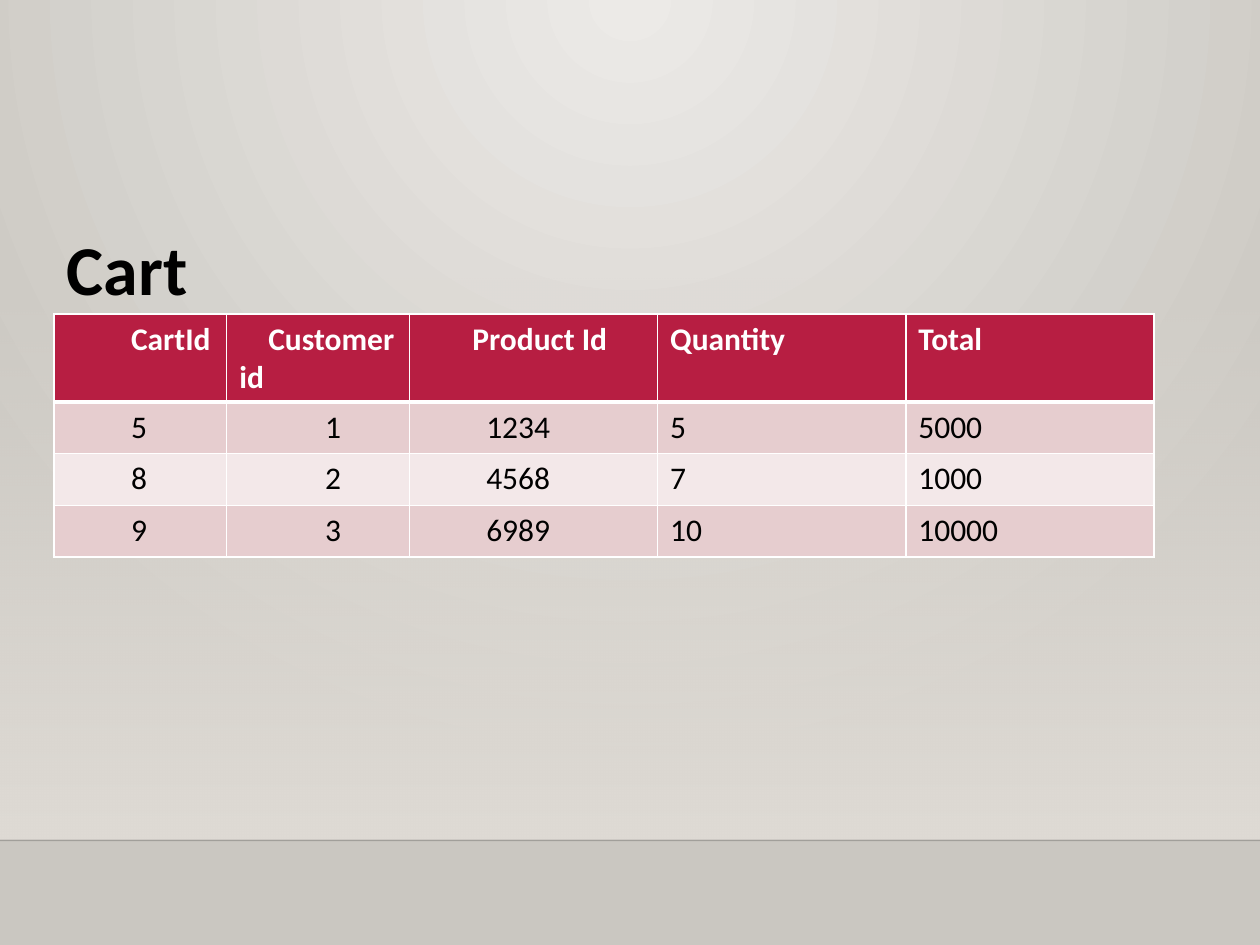
from lxml.etree import SubElement
from pptx import Presentation
from pptx.dml.color import RGBColor
from pptx.enum.shapes import MSO_CONNECTOR, MSO_SHAPE
from pptx.enum.text import MSO_ANCHOR, MSO_AUTO_SIZE, PP_ALIGN
from pptx.oxml.ns import qn
from pptx.util import Inches, Pt

TITLE = "Cart"
HEADER = ("CartId", "Customer id", "Product Id", "Quantity", "Total")
ROWS = [
    ("5", "1", "1234", "5", "5000"),
    ("8", "2", "4568", "7", "1000"),
    ("9", "3", "6989", "10", "10000"),
]
COLUMN_WIDTHS = (1.37, 1.45, 1.97, 1.97, 1.97)
HEADER_INDENTS = (0.51, 0.23, 0.4, 0, 0)
BODY_INDENTS = (0.51, 0.68, 0.51, 0, 0)
HEADER_FILL = "B71E42"
BAND_FILLS = ("E6CDCF", "F3E8E9")
LEFT, TABLE_TOP, ROW_HEIGHT = 0.43, 2.49, 0.41
FLOOR_TOP = 6.67


def color(value):
    return RGBColor.from_string(value)


def set_gradient(fill, start, end):
    fill.gradient()
    for stop, value, position in zip(fill.gradient_stops, (start, end), (0, 1)):
        stop.color.rgb = color(value)
        stop.position = position


def set_alpha(element, percent):
    """Set the opacity of the first RGB colour inside element."""
    rgb = next(element.iter(qn("a:srgbClr")))
    SubElement(rgb, qn("a:alpha"), val=str(percent * 1000))


def add_text(para, text, size, value, bold):
    span = para.add_run()
    span.text = text
    span.font.name = "Calibri"
    span.font.size = Pt(size)
    span.font.bold = bold
    span.font.color.rgb = color(value)


def set_borders(cell, bottom, top):
    properties = cell._tc.get_or_add_tcPr()
    for side, width in (("L", 1), ("R", 1), ("T", top), ("B", bottom)):
        line = SubElement(properties, qn(f"a:ln{side}"), w=str(Pt(width)))
        solid = SubElement(line, qn("a:solidFill"))
        SubElement(solid, qn("a:srgbClr"), val="FFFFFF")


def add_background(slide):
    set_gradient(slide.background.fill, "ECEAE7", "CAC7C1")
    gradient = next(slide._element.iter(qn("a:gradFill")))
    gradient.remove(gradient.find(qn("a:lin")))
    circle = SubElement(gradient, qn("a:path"), path="circle")
    SubElement(circle, qn("a:fillToRect"), l="43000", t="0", r="43000", b="100000")

    wall = slide.shapes.add_shape(
        MSO_SHAPE.RECTANGLE, 0, Inches(2.2), Inches(10), Inches(4.46))
    wall.shadow.inherit = False
    set_gradient(wall.fill, "DFDBD5", "DFDBD5")
    wall.fill.gradient_angle = 270
    set_alpha(wall._element, 0)
    wall.line.fill.background()

    edge = slide.shapes.add_connector(
        MSO_CONNECTOR.STRAIGHT, 0, Inches(FLOOR_TOP), Inches(10), Inches(FLOOR_TOP))
    edge.line.color.rgb = color("000001")
    edge.line.width = Pt(1)
    set_alpha(edge._element, 20)
    SubElement(edge._element.spPr, qn("a:effectLst"))


def add_title(slide):
    title = slide.shapes.title
    slide.shapes._spTree.append(title._element)  # in front of the wall
    title.left, title.top = Inches(LEFT), Inches(1.74)
    title.width, title.height = Inches(5.98), Inches(0.77)
    frame = title.text_frame
    frame.word_wrap = True
    frame.auto_size = MSO_AUTO_SIZE.SHAPE_TO_FIT_TEXT
    frame.vertical_anchor = MSO_ANCHOR.TOP
    para = frame.paragraphs[0]
    para.alignment = PP_ALIGN.LEFT
    add_text(para, TITLE, 40, "000000", True)


def add_cart_table(slide):
    records = [HEADER, *ROWS]
    table = slide.shapes.add_table(
        len(records), len(HEADER), Inches(LEFT), Inches(TABLE_TOP),
        Inches(sum(COLUMN_WIDTHS)), Inches(ROW_HEIGHT * len(records))).table
    for column, width in zip(table.columns, COLUMN_WIDTHS):
        column.width = Inches(width)
    for index, record in enumerate(records):
        table.rows[index].height = Inches(ROW_HEIGHT)
        is_header = index == 0
        fill = HEADER_FILL if is_header else BAND_FILLS[(index - 1) % 2]
        indents = HEADER_INDENTS if is_header else BODY_INDENTS
        for position, (text, indent) in enumerate(zip(record, indents)):
            cell = table.cell(index, position)
            set_borders(cell, 3 if is_header else 1, 3 if index == 1 else 1)
            cell.fill.solid()
            cell.fill.fore_color.rgb = color(fill)
            para = cell.text_frame.paragraphs[0]
            if indent:
                para._p.get_or_add_pPr().set("indent", str(Inches(indent)))
            add_text(para, text, 18, "FFFFFF" if is_header else "000000", is_header)


def main():
    deck = Presentation()
    deck.slide_width, deck.slide_height = Inches(10), Inches(7.5)
    slide = deck.slides.add_slide(deck.slide_layouts[5])
    add_background(slide)
    add_title(slide)
    add_cart_table(slide)
    deck.save("out.pptx")


if __name__ == "__main__":
    main()
